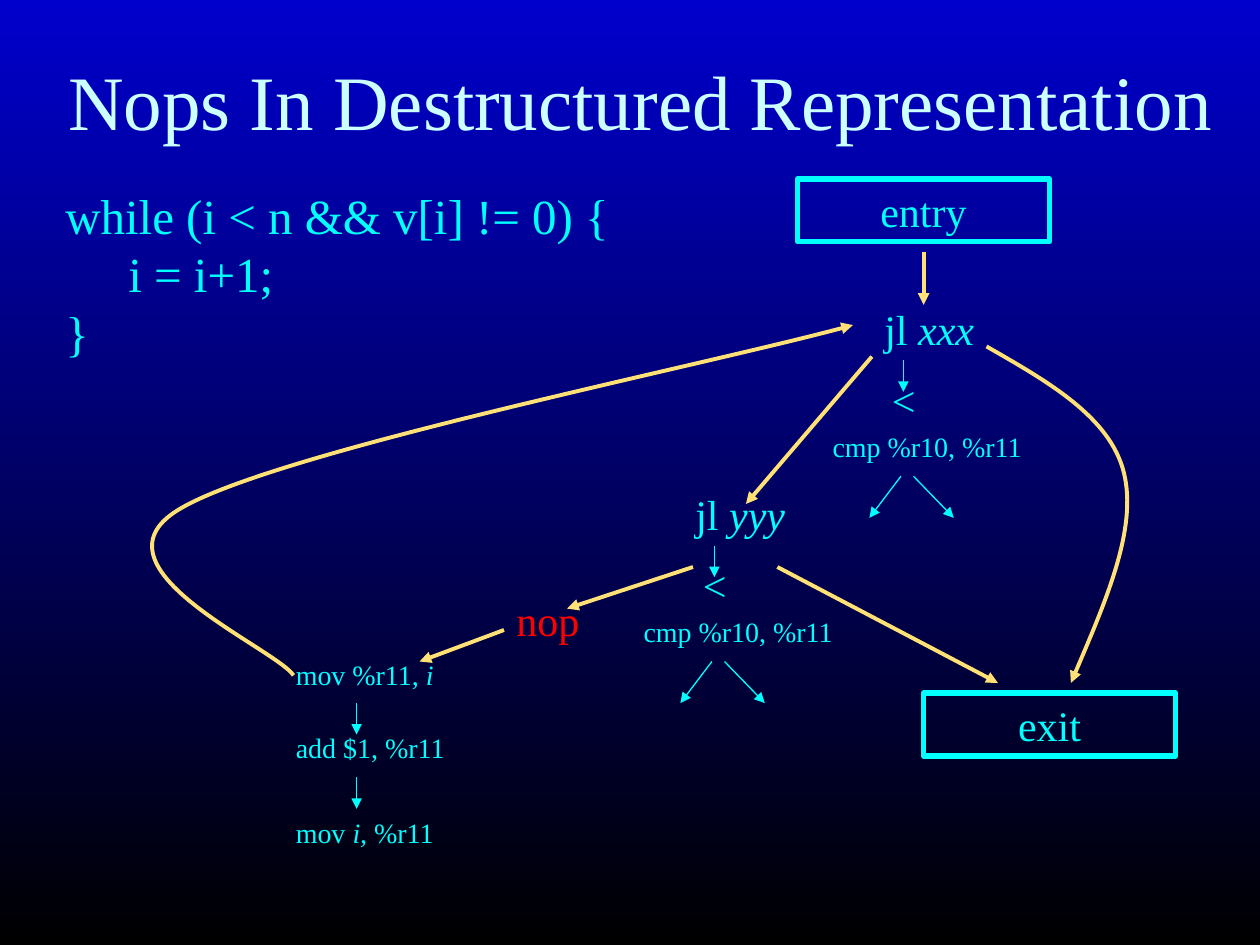
from dataclasses import dataclass

from pptx import Presentation
from pptx.dml.color import RGBColor
from pptx.enum.shapes import MSO_CONNECTOR, MSO_SHAPE
from pptx.enum.text import MSO_ANCHOR, MSO_AUTO_SIZE, PP_ALIGN
from pptx.oxml.ns import qn
from pptx.util import Inches, Pt
from lxml import etree

STRAIGHT = MSO_CONNECTOR.STRAIGHT
RECTANGLE = MSO_SHAPE.RECTANGLE
MIDDLE, TOP = MSO_ANCHOR.MIDDLE, MSO_ANCHOR.TOP
CENTER, LEFT = PP_ALIGN.CENTER, PP_ALIGN.LEFT
GROW, FIXED = MSO_AUTO_SIZE.SHAPE_TO_FIT_TEXT, MSO_AUTO_SIZE.NONE
TITLE_ONLY = 5


@dataclass(frozen=True)
class Theme:
    font: str = "Times New Roman"
    sky: RGBColor = RGBColor(0x00, 0x00, 0xCC)
    night: RGBColor = RGBColor(0x00, 0x00, 0x00)
    title: RGBColor = RGBColor(0xCC, 0xFF, 0xFF)
    code: RGBColor = RGBColor(0x00, 0xFF, 0xFF)
    flow: RGBColor = RGBColor(0xFF, 0xE1, 0x75)
    nop: RGBColor = RGBColor(0xFF, 0x00, 0x00)
    title_size: float = 44
    source_size: float = 28
    node_size: float = 24
    instruction_size: float = 16
    border_width: float = 3
    flow_width: float = 2.25
    operand_width: float = 0.75


THEME = Theme()


def write(frame, text, size=THEME.node_size, color=THEME.code, align=LEFT,
          anchor=TOP, wrap=False, auto_size=FIXED):
    """Fill a text frame; words between asterisks are italic."""
    frame.word_wrap = wrap
    frame.auto_size = auto_size
    frame.vertical_anchor = anchor
    for row, line in enumerate(text.split("\n")):
        paragraph = frame.add_paragraph() if row else frame.paragraphs[0]
        paragraph.alignment = align
        for part, words in enumerate(line.split("*")):
            if words:
                run = paragraph.add_run()
                run.text = words
                run.font.name = THEME.font
                run.font.size = Pt(size)
                run.font.color.rgb = color
                run.font.italic = part % 2 == 1


def add_label(slide, box, text, **text_format):
    label = slide.shapes.add_textbox(*map(Inches, box))
    write(label.text_frame, text, auto_size=GROW, **text_format)


def style_arrow(arrow, color, width):
    arrow.line.color.rgb = color
    arrow.line.width = Pt(width)
    properties = arrow._element.spPr
    etree.SubElement(properties.find(qn("a:ln")), qn("a:tailEnd"), type="triangle")
    etree.SubElement(properties, qn("a:effectLst"))


def add_arrow(slide, start, end, color=THEME.flow, width=THEME.flow_width):
    arrow = slide.shapes.add_connector(STRAIGHT, *map(Inches, (*start, *end)))
    style_arrow(arrow, color, width)


def add_operand_arrow(slide, start, end):
    add_arrow(slide, start, end, THEME.code, THEME.operand_width)


def add_curved_arrow(slide, start, controls):
    builder = slide.shapes.build_freeform(*map(Inches, start))
    builder.add_line_segments([(Inches(x), Inches(y)) for x, y in controls], close=False)
    curve = builder.convert_to_shape()
    curve.fill.background()
    segments = curve._element.xpath(".//a:lnTo")
    for first in range(0, len(segments), 3):
        bezier = etree.Element(qn("a:cubicBezTo"))
        segments[first].addprevious(bezier)
        for segment in segments[first:first + 3]:
            bezier.append(segment[0])
            segment.getparent().remove(segment)
    style_arrow(curve, THEME.flow, THEME.flow_width)


def add_title(slide, box, text):
    title = slide.shapes.title
    title.left, title.top, title.width, title.height = map(Inches, box)
    write(title.text_frame, text, size=THEME.title_size, color=THEME.title,
          align=CENTER, anchor=MIDDLE, wrap=True)


def add_terminal(slide, box, text):
    terminal = slide.shapes.add_shape(RECTANGLE, *map(Inches, box))
    terminal.shadow.inherit = False
    terminal.fill.background()
    terminal.line.color.rgb = THEME.code
    terminal.line.width = Pt(THEME.border_width)
    write(terminal.text_frame, text, align=CENTER, anchor=MIDDLE)


def add_condition(slide, box, jump):
    left, top, width, height = box
    stem, fork = left + 0.25, top + 1.42
    add_label(slide, box, jump)
    add_label(slide, (left + 0.06, top + 0.56, 0.39, height), "<")
    add_label(slide, (left - 0.41, top + 1, 1.71, 0.37), "cmp %r10, %r11",
              size=THEME.instruction_size)
    add_operand_arrow(slide, (stem, top + 0.5), (stem, top + 0.75))
    add_operand_arrow(slide, (stem - 0.02, fork), (stem - 0.27, fork + 0.33))
    add_operand_arrow(slide, (stem + 0.08, fork), (stem + 0.4, fork + 0.33))


def add_loop_body(slide, box):
    left, top, width, height = box
    instructions = [(0, 1.3, "mov %r11, *i*"), (0.58, 1.39, "add $1, %r11"),
                    (1.25, 1.36, "mov *i,* %r11")]
    for offset, label_width, text in instructions:
        add_label(slide, (left, top + offset, label_width, 0.37), text,
                  size=THEME.instruction_size)
    stem = left + 0.58
    for offset in (0.41, 1):
        add_operand_arrow(slide, (stem, top + offset), (stem, top + offset + 0.25))


def add_control_flow(slide, box):
    left, top, width, height = box

    def at(x, y):
        return left + x, top + y

    add_terminal(slide, (*at(4.08, 0), 2, 0.5), "entry")
    add_terminal(slide, (*at(5.08, 4.08), 2, 0.5), "exit")
    add_condition(slide, (*at(4.67, 0.94), 0.91, 0.5), "jl *xxx*")
    add_condition(slide, (*at(3.17, 2.41), 0.91, 0.5), "jl *yyy*")
    add_label(slide, (*at(1.75, 3.25), 0.7, 0.5), "nop", color=THEME.nop)
    add_loop_body(slide, (*at(0, 3.75), 1.39, 1.62))

    for start, end in [
        ((5.08, 0.58), (5.08, 1)),
        ((4.67, 1.41), (3.67, 2.58)),
        ((3.25, 3.08), (2.25, 3.41)),
        ((1.75, 3.58), (1.08, 3.83)),
        ((3.92, 3.08), (5.67, 4)),
    ]:
        add_arrow(slide, at(*start), at(*end))

    for start, controls in [
        ((5.58, 1.33), [(6.07, 1.61), (6.56, 1.89), (6.67, 2.33),
                        (6.78, 2.77), (6.51, 3.39), (6.25, 4)]),
        ((0.08, 3.94), [(-0.07, 3.72), (-1.58, 3.09), (-0.84, 2.63),
                        (-0.1, 2.17), (3.4, 1.47), (4.52, 1.16)]),
    ]:
        add_curved_arrow(slide, at(*start), [at(*point) for point in controls])


def paint_background(slide):
    fill = slide.background.fill
    fill.gradient()
    fill.gradient_angle = 270
    for stop, position, color in zip(fill.gradient_stops, (0, 1), (THEME.sky, THEME.night)):
        stop.position = position
        stop.color.rgb = color


def main():
    deck = Presentation()
    deck.slide_width, deck.slide_height = Inches(10), Inches(7.5)
    slide = deck.slides.add_slide(deck.slide_layouts[TITLE_ONLY])
    paint_background(slide)
    add_title(slide, (0.42, 0.17, 9.33, 1.25), "Nops In Destructured Representation")
    add_label(slide, (0.42, 1.42, 4.61, 1.5),
              "while (i < n && v[i] != 0) {\n\ti = i+1;\n}", size=THEME.source_size)
    add_control_flow(slide, (2.25, 1.42, 7.08, 5.37))
    deck.save("out.pptx")


if __name__ == "__main__":
    main()
